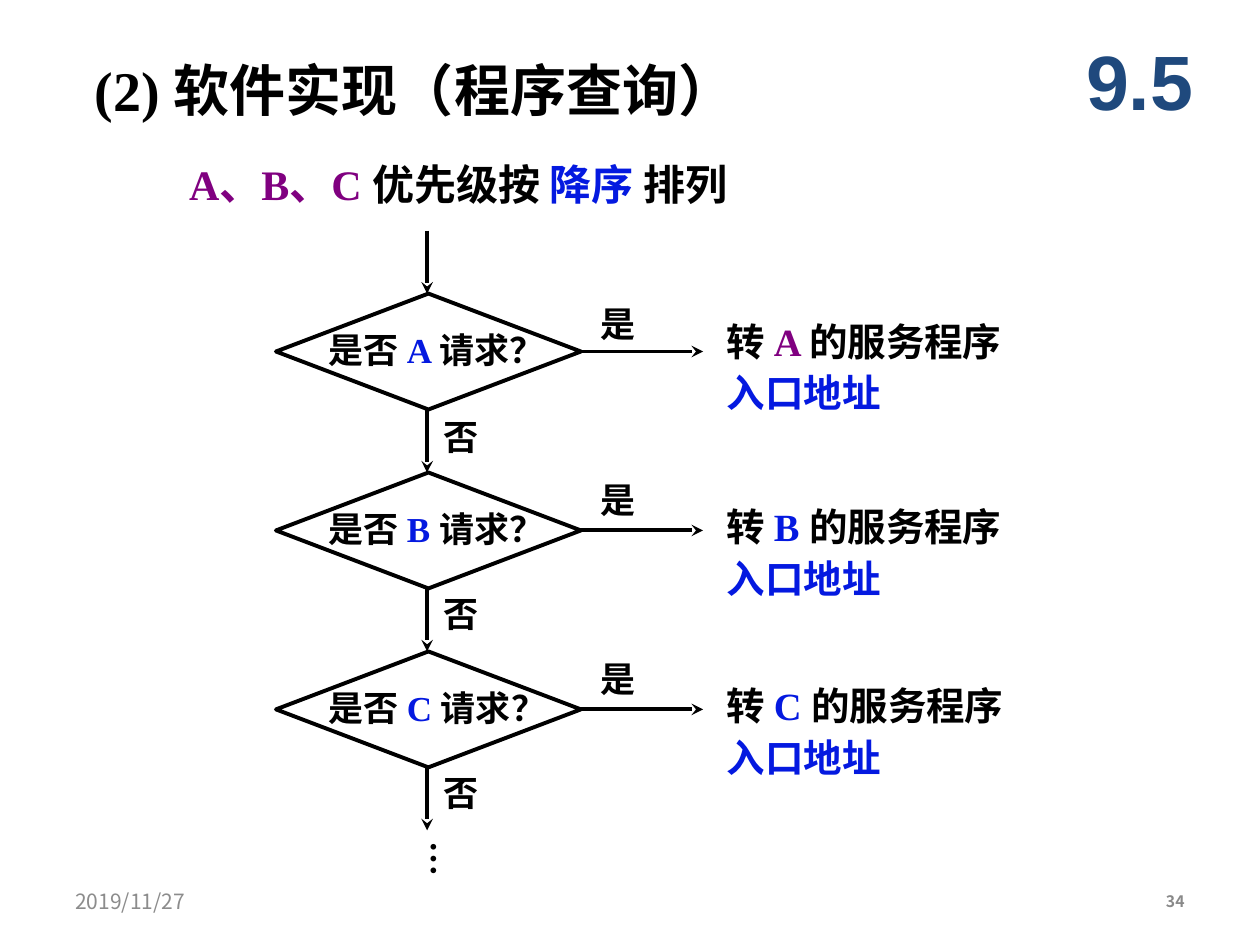
from lxml.etree import SubElement as Sub
from pptx import Presentation
from pptx.dml.color import RGBColor as Rgb
from pptx.enum.shapes import MSO_CONNECTOR as Conn, MSO_SHAPE as Kind
from pptx.enum.text import MSO_ANCHOR as Anchor, PP_ALIGN as Align
from pptx.oxml.ns import qn
from pptx.util import Pt

SCALE = 9144
STEP = 142
HAN, SERIF = "Noto Sans CJK SC", "Times New Roman"
BLACK, BLUE, PLUM = "000000", "0419E0", "800080"
ROWS = [("A", PLUM, 20, 2), ("B", BLUE, 25, 0), ("C", BLUE, 25, 0)]


def px(n):
    """Turn px into EMU."""
    return int(n * SCALE)


def paint(target, color):
    """Give a fill or font colour from a hex string."""
    target.rgb = Rgb.from_string(color)


def style(item, values):
    """Set each format value on an item."""
    for name, value in values.items():
        setattr(item, name, value)


def write(slide, box, lines, size, face=SERIF, bold=True, frame=None, para=None):
    """Place a text box whose lines are lists of (text, colour) runs."""
    shape = slide.shapes.add_textbox(*map(px, box))
    body = shape.text_frame
    style(body, {"word_wrap": True, **(frame or {})})
    for i, runs in enumerate(lines):
        line = body.paragraphs[0] if i == 0 else body.add_paragraph()
        style(line, para or {})
        if i:
            line.space_before = Pt(7)
        for text, color in runs:
            run = line.add_run()
            run.text = text
            style(run.font, {"size": Pt(size), "name": face, "bold": bold})
            paint(run.font.color, color)
    for props in shape.element.iter(qn("a:rPr")):
        Sub(props, qn("a:ea"), typeface=HAN)
    return shape


def arrow(slide, x, y, dx, dy):
    """Draw an arrow from a point by an offset."""
    link = slide.shapes.add_connector(
        Conn.STRAIGHT, px(x), px(y), px(x + dx), px(y + dy))
    link.line.width = Pt(2.25)
    paint(link.line.color, BLACK)
    Sub(link.line._get_or_add_ln(), qn("a:tailEnd"), type="stealth")
    Sub(link.element.spPr, qn("a:effectLst"))


def head(slide, x, y):
    """Place the title, the section number and the priority line."""
    flat = {"word_wrap": False, "margin_left": 0, "margin_right": 0,
            "vertical_anchor": Anchor.MIDDLE}
    rule = [("A、B、C ", PLUM), ("优先级按 ", BLACK),
            ("降序 ", BLUE), ("排列", BLACK)]
    write(slide, (x, y, 575, 58), [[("(2) 软件实现（程序查询）", BLACK)]], 32, frame=flat)
    write(slide, (x + 75, y + 75, 575, 58), [rule], 24, frame=flat)
    write(slide, (x + 767, y - 25, 125, 92), [[("9.5", "1F497D")]], 44, "Arial",
          frame={"vertical_anchor": Anchor.MIDDLE},
          para={"alignment": Align.CENTER})


def check(slide, x, y, wide, row):
    """Place one request check with its yes and no branches."""
    name, color, drop, shift = row
    gem = slide.shapes.add_shape(Kind.DIAMOND, px(x), px(y), px(242), px(92))
    gem.shadow.inherit = False
    gem.fill.background()
    gem.line.width = Pt(2.25)
    paint(gem.line.color, BLACK)
    write(slide, (x + 42, y + 28, wide, 38),
          [[("是否 ", BLACK), (name + " ", BLUE), ("请求？", BLACK)]], 20,
          frame={"margin_left": 0, "margin_top": 0})
    arrow(slide, x + 239, y + 46, 100, 0)
    write(slide, (x + 248, y + shift, 67, 43), [[("是", BLACK)]], 20)
    arrow(slide, x + 120, y + 92, 0, 50)
    write(slide, (x + 123, y + 90 + shift, 67, 43), [[("否", BLACK)]], 20)
    goal = [("转 ", BLACK), (name + " ", color), ("的服务程序", BLACK)]
    write(slide, (x + 348, y + drop, 383, 91), [goal, [("入口地址", BLUE)]], 22,
          para={"line_spacing": 0.85})


def flow(slide, x, y):
    """Place the entry arrow, the chain of checks and the closing dots."""
    arrow(slide, x + 120, y, 0, 50)
    for i, row in enumerate(ROWS):
        check(slide, x, y + 50 + i * STEP, 207 + 8 * i, row)
    dots = write(slide, (x + 103, y + 475, 53, 38), [[("…", BLACK)]], 20,
                 frame={"word_wrap": False})
    dots.element.txBody.bodyPr.set("vert", "eaVert")


def foot(slide, x, y):
    """Place the date and the page number."""
    mid = {"vertical_anchor": Anchor.MIDDLE}
    write(slide, (x, y, 233, 40), [[("2019/11/27", "8C8C8C")]], 12, HAN, False, mid)
    write(slide, (x + 667, y, 233, 40), [[("34", "898989")]], 9, HAN, True, mid,
          {"alignment": Align.RIGHT})


def main():
    """Build and save the slide."""
    deck = Presentation()
    style(deck, {"slide_width": px(1000), "slide_height": px(750)})
    slide = deck.slides.add_slide(deck.slide_layouts[6])
    head(slide, 75, 42)
    flow(slide, 219, 183)
    foot(slide, 50, 695)
    deck.save("out.pptx")


if __name__ == "__main__":
    main()
